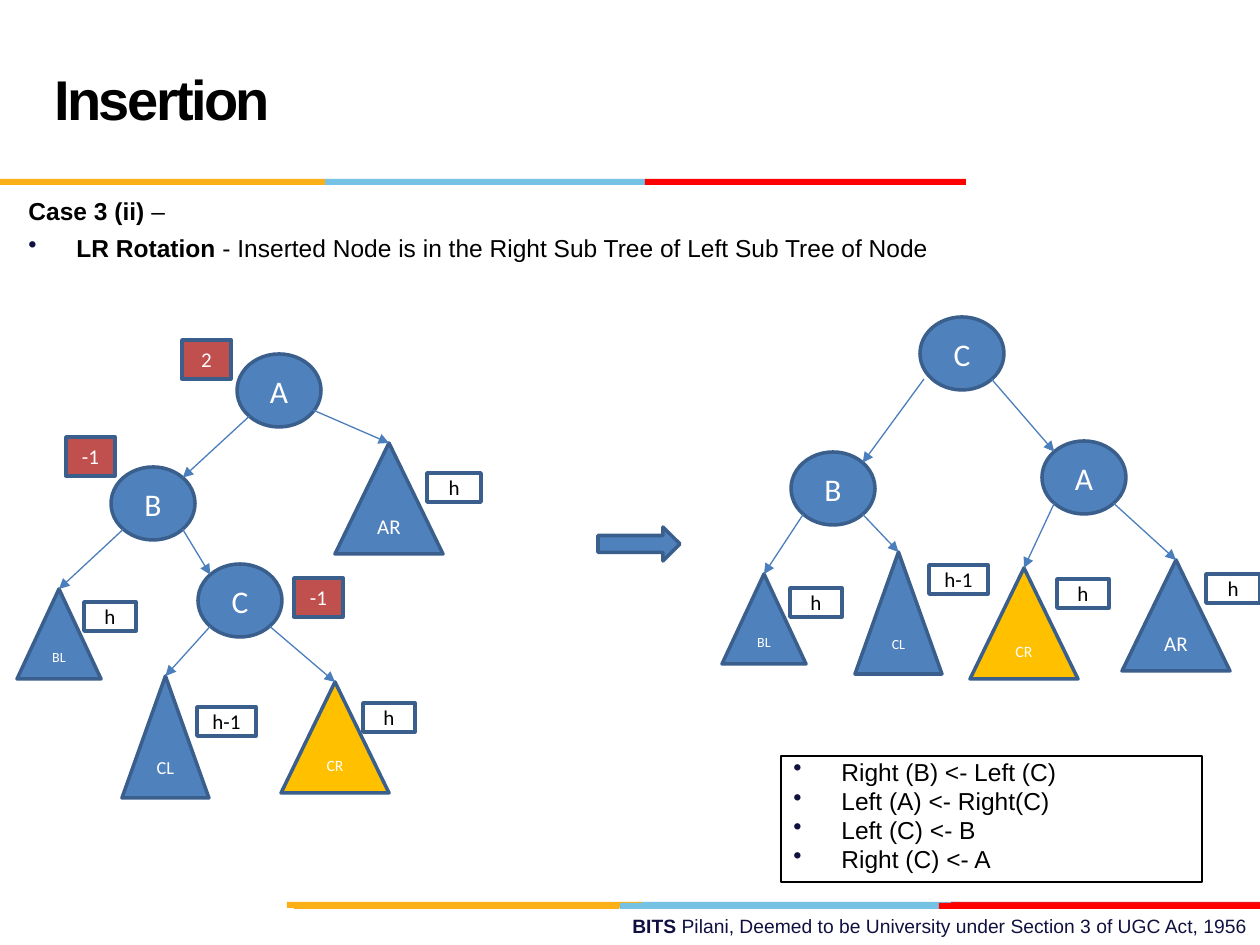
"""Build the slide on LR rotation after an AVL tree insertion."""
from lxml import etree
from pptx import Presentation
from pptx.dml.color import RGBColor
from pptx.enum.shapes import MSO_CONNECTOR, MSO_SHAPE
from pptx.enum.text import MSO_ANCHOR, PP_ALIGN
from pptx.oxml.ns import qn
from pptx.util import Pt

SCALE = 914400 / 126
RECT, OVAL = MSO_SHAPE.RECTANGLE, MSO_SHAPE.FLOWCHART_CONNECTOR
TRIANGLE, ARROW = MSO_SHAPE.ISOSCELES_TRIANGLE, MSO_SHAPE.RIGHT_ARROW
STRAIGHT = MSO_CONNECTOR.STRAIGHT
TOP, MIDDLE = MSO_ANCHOR.TOP, MSO_ANCHOR.MIDDLE
LEFT, CENTER, RIGHT = PP_ALIGN.LEFT, PP_ALIGN.CENTER, PP_ALIGN.RIGHT

BLACK, WHITE = RGBColor(0, 0, 0), RGBColor(255, 255, 255)
NAVY = RGBColor(0x10, 0x11, 0x41)
BLUE, OUTLINE = RGBColor(0x4F, 0x81, 0xBD), RGBColor(0x3A, 0x5F, 0x8C)
EDGE, BRICK = RGBColor(0x4B, 0x7E, 0xBC), RGBColor(0xC0, 0x50, 0x4D)
GOLD = RGBColor(0xFF, 0xC0, 0x00)
AMBER, SKY = RGBColor(0xFC, 0xB0, 0x17), RGBColor(0x76, 0xC2, 0xE5)
CRIMSON, RED = RGBColor(0xE3, 0x1C, 0x24), RGBColor(255, 0, 0)

FOOTER = [("BITS ", True),
          ("Pilani, Deemed to be University under Section 3 of UGC Act, 1956", False)]
TITLE = [("Insertion", True)]
CASE = [("Case 3 (ii) ", True), ("–", False)]
ROTATION = [("LR Rotation ", True),
            ("- Inserted Node is in the Right Sub Tree of Left Sub Tree of Node", False)]
RULES = ["Right (B) <- Left (C)", "Left (A) <- Right(C)", "Left (C) <- B", "Right (C) <- A"]

BARS = [  # left, top, width, colour
    (638, 902, 321, SKY), (951, 902, 309, CRIMSON), (287, 902, 355, AMBER),
    (620, 903, 321, SKY), (294, 903, 325, AMBER), (939, 903, 321, RED),
    (325, 179, 321, SKY), (0, 179, 325, AMBER), (645, 179, 321, RED),
]
BAR_HEIGHT = 6
NODE_SIZE, BADGE_SIZE, LABEL_HEIGHT = (84, 73), (49, 39), 29
SUBTREES = {  # size, fill
    "AR": ((108, 111), BLUE), "BL": ((84, 90), BLUE),
    "CL": ((87, 122), BLUE), "CR": ((108, 111), GOLD),
}
TREES = [
    {
        "nodes": {"A": (237, 354), "B": (111, 467), "C": (198, 564)},
        "subtrees": {"AR": (335, 443, 12), "BL": (17, 589, 8),
                     "CL": (122, 676, 10.5), "CR": (281, 682, 9)},
        "edges": ["A-AR", "A-B", "B-BL", "B-C", "C-CL", "C-CR"],
        "starts": {"A-AR": (313, 410)},
        "labels": [("h", 363, 703, 52), ("h", 427, 473, 54),
                   ("h-1", 197, 707, 59), ("h", 84, 602, 52)],
        "badges": [("-1", 294, 578), ("-1", 66, 437), ("2", 182, 340)],
    },
    {
        "nodes": {"A": (1042, 441), "B": (791, 452), "C": (920, 317)},
        "subtrees": {"AR": (1122, 560, 12), "BL": (722, 574, 8),
                     "CL": (855, 552, 8), "CR": (970, 568, 9)},
        "edges": ["C-B", "C-A", "B-BL", "B-CL", "A-CR", "A-AR"],
        "starts": {"C-B": (924, 379)},
        "labels": [("h", 1057, 579, 52), ("h", 1206, 574, 54),
                   ("h-1", 929, 565, 59), ("h", 790, 588, 52)],
        "badges": [],
    },
]


def px(value):
    return round(value * SCALE)


def add_shape(slide, kind, bounds, fill=None, line=None, weight=2):
    shape = slide.shapes.add_shape(kind, *map(px, bounds))
    shape.shadow.inherit = False
    if fill is None:
        shape.fill.background()
    else:
        shape.fill.solid()
        shape.fill.fore_color.rgb = fill
    if line is None:
        shape.line.fill.background()
    else:
        shape.line.color.rgb = line
        shape.line.width = Pt(weight)
    return shape


def add_text_box(slide, bounds):
    return slide.shapes.add_textbox(*map(px, bounds))


def set_bullet(para):
    properties = para._p.get_or_add_pPr()
    properties.set("marL", str(px(48)))
    properties.set("indent", str(px(-48)))
    colour = etree.SubElement(properties, qn("a:buClr"))
    etree.SubElement(colour, qn("a:srgbClr")).set("val", str(NAVY))
    etree.SubElement(properties, qn("a:buChar")).set("char", "•")


def write(box, paragraphs, size, colour=BLACK, name="Arial", anchor=TOP,
          wrap=True, bullets=(), tracking=None, **layout):
    frame = box.text_frame
    frame.word_wrap = wrap
    frame.vertical_anchor = anchor
    gap = layout.pop("gap", None)
    for index, spans in enumerate(paragraphs):
        para = frame.add_paragraph() if index else frame.paragraphs[0]
        for key, value in layout.items():
            setattr(para, key, value)
        if index and gap:
            para.space_before = Pt(gap)
        if index in bullets:
            set_bullet(para)
        for text, bold in spans:
            span = para.add_run()
            span.text = text
            formats = {"name": name, "size": Pt(size), "bold": bold}
            for key, value in formats.items():
                setattr(span.font, key, value)
            span.font.color.rgb = colour
            if tracking:
                span._r.get_or_add_rPr().set("spc", str(tracking))


def add_label(slide, kind, bounds, text, size, fill, colour=WHITE):
    shape = add_shape(slide, kind, bounds, fill, OUTLINE)
    write(shape, [[(text, False)]], size, colour, "Calibri", MIDDLE, False,
          alignment=CENTER)
    return shape


def diagonal(position, side, level):
    """Return the point of a node outline at 45 degrees."""
    return [start + size * (0.5 + 0.354 * sign)
            for start, size, sign in zip(position, NODE_SIZE, (side, level))]


def add_edge(slide, start, end):
    edge = slide.shapes.add_connector(STRAIGHT, *map(px, (*start, *end)))
    edge.line.color.rgb = EDGE
    edge.line.width = Pt(0.75)
    etree.SubElement(edge.line._get_or_add_ln(), qn("a:tailEnd")).set("type", "triangle")
    etree.SubElement(edge._element.spPr, qn("a:effectLst"))
    return edge


def add_tree(slide, tree):
    nodes, triangles = tree["nodes"], {}
    for name, position in nodes.items():
        add_label(slide, OVAL, (*position, *NODE_SIZE), name, 18, BLUE)
    for name, (left, top, size) in tree["subtrees"].items():
        extent, fill = SUBTREES[name]
        triangles[name] = add_label(slide, TRIANGLE, (left, top, *extent), name, size, fill)
    for link in tree["edges"]:
        parent, child = link.split("-")
        target = nodes.get(child) or tree["subtrees"][child][:2]
        width = NODE_SIZE[0] if child in nodes else SUBTREES[child][0][0]
        side = 1 if target[0] + width / 2 > nodes[parent][0] + NODE_SIZE[0] / 2 else -1
        start = tree["starts"].get(link) or diagonal(nodes[parent], side, 1)
        end = diagonal(target, -side, -1) if child in nodes else target
        edge = add_edge(slide, start, end)
        if child in triangles:
            edge.end_connect(triangles[child], 0)
    for text, left, top, width in tree["labels"]:
        add_label(slide, RECT, (left, top, width, LABEL_HEIGHT), text, 12, WHITE, BLACK)
    for text, left, top in tree["badges"]:
        add_label(slide, RECT, (left, top, *BADGE_SIZE), text, 12, BRICK)


def main():
    deck = Presentation()
    deck.slide_width, deck.slide_height = px(1260), px(945)
    slide = deck.slides.add_slide(deck.slide_layouts[6])
    write(add_text_box(slide, (451, 908, 809, 37)), [FOOTER], 11, NAVY, alignment=RIGHT)
    for left, top, width, colour in BARS:
        add_shape(slide, RECT, (left, top, width, BAR_HEIGHT), colour)
    write(add_text_box(slide, (42, 21, 903, 158)), [TITLE], 32, anchor=MIDDLE,
          tracking=-150, line_spacing=Pt(36))
    write(add_text_box(slide, (16, 190, 1215, 101)), [CASE, ROTATION], 14,
          bullets=(1,), gap=4)
    for tree in TREES:
        add_tree(slide, tree)
    add_shape(slide, ARROW, (598, 527, 82, 34), BLUE, OUTLINE)
    rules = add_shape(slide, RECT, (781, 756, 421, 126), None, BLACK, 0.75)
    write(rules, [[(rule, False)] for rule in RULES], 14, bullets=range(len(RULES)),
          gap=3.3, alignment=LEFT, line_spacing=0.8)
    deck.save("out.pptx")


if __name__ == "__main__":
    main()
